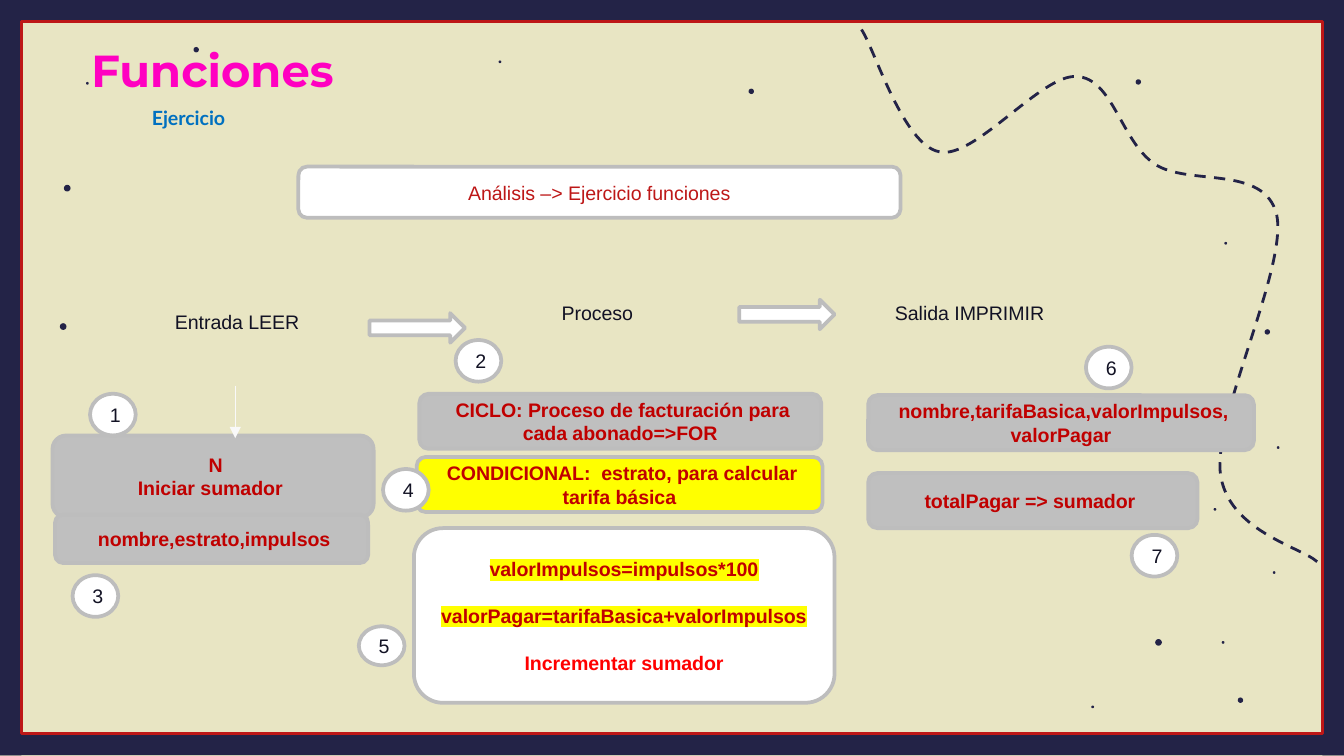
from dataclasses import dataclass

from lxml import etree
from pptx import Presentation
from pptx import util as u
from pptx.dml.color import RGBColor
from pptx.enum import dml, shapes, text
from pptx.oxml import ns


@dataclass(frozen=True)
class Theme:
    paper: str = "E8E5C3"
    navy: str = "232347"
    red: str = "BD1717"
    ink: str = "121224"
    grey: str = "BFBFBF"
    edge: str = "BDBDBD"
    white: str = "FFFFFF"
    yellow: str = "FFFF00"
    strong: str = "C00000"
    bright: str = "FF0000"
    pink: str = "FF00C1"
    blue: str = "0070C0"
    arrow: str = "F9F9F9"
    title_size: float = 24
    text_size: float = 10.5


theme = Theme()
kinds = shapes.MSO_SHAPE


def write(para, words, color, **changes):
    span = para.add_run()
    span.text = words
    values = {"name": "Arial", "size": u.Pt(theme.text_size), "bold": False} | changes
    for name, value in values.items():
        setattr(span.font, name, value)
    span.font.color.rgb = RGBColor.from_string(color)


def draw(kind, at, fill=None, line=None, weight=2, words=(), color=theme.ink, bold=False):
    shape = page.shapes.add_shape(kind, *map(u.Inches, at))
    shape.shadow.inherit = False
    for paint, value in ((shape.fill, fill), (shape.line.fill, line)):
        if value:
            paint.solid()
            paint.fore_color.rgb = RGBColor.from_string(value)
        else:
            paint.background()
    if line:
        shape.line.width = u.Pt(weight)
    for index, sentence in enumerate(words):
        frame = shape.text_frame
        para = frame.add_paragraph() if index else frame.paragraphs[0]
        para.alignment = text.PP_ALIGN.CENTER
        write(para, sentence, color, bold=bold)
    return shape


deck = Presentation()
deck.slide_width = u.Inches(10)
deck.slide_height = deck.slide_width * 9 // 16
page = deck.slides.add_slide(deck.slide_layouts[1])
page.background.fill.solid()
page.background.fill.fore_color.rgb = RGBColor.from_string(theme.paper)

headings = [
    (page.shapes.title, (0.58, 0.27, 5.61, 0.91), "Funciones", theme.pink,
     "Montserrat", theme.title_size, text.PP_ALIGN.LEFT),
    (page.placeholders[1], (1.03, 0.74, 4.27, 0.28), "Ejercicio", theme.blue,
     "Lato", theme.text_size, text.PP_ALIGN.JUSTIFY),
]
for box, at, words, color, font, size, alignment in headings:
    for name, value in zip(("left", "top", "width", "height"), at):
        setattr(box, name, u.Inches(value))
    box.text_frame.vertical_anchor = text.MSO_ANCHOR.TOP
    box.text_frame.auto_size = text.MSO_AUTO_SIZE.NONE
    para = box.text_frame.paragraphs[0]
    para.alignment, para.space_before = alignment, u.Pt(0)
    write(para, words, color, name=font, size=u.Pt(size), bold=True)
    properties = para._p.get_or_add_pPr()
    properties.set("marL", "0")
    properties.set("indent", "0")
    etree.SubElement(properties, ns.qn("a:buNone"))

band = 0.16
for at in [(0, 0, 10, band), (0, 5.46, 10, band),
           (0, 0, band, 5.62), (10 - band, 0, band, 5.62)]:
    draw(kinds.RECTANGLE, at, theme.navy)
draw(kinds.RECTANGLE, (band, band, 10 - 2 * band, 5.3), line=theme.red, weight=1.5)

trail_points = [
    (6.51, 0.37), (6.72, 1.08), (6.99, 1.13), (7.25, 1.19), (7.75, 0.55), (8.01, 0.57),
    (8.28, 0.58), (8.34, 1.05), (8.59, 1.22), (8.84, 1.39), (9.41, 1.22), (9.5, 1.6),
    (9.58, 1.99), (9.03, 3.09), (9.08, 3.52), (9.13, 3.95), (9.68, 4.07), (9.8, 4.18),
]
builder = page.shapes.build_freeform(u.Inches(6.41), u.Inches(0.22))
builder.add_line_segments([(u.Inches(x), u.Inches(y)) for x, y in trail_points], close=False)
trail = builder.convert_to_shape()
trail.shadow.inherit = False
trail.fill.background()
trail.line.color.rgb = RGBColor.from_string(theme.navy)
trail.line.width = u.Pt(1.5)
trail.line.dash_style = dml.MSO_LINE.DASH
segments = trail._element.xpath(".//a:lnTo")
for start in range(0, len(segments), 3):
    curve = etree.Element(ns.qn("a:cubicBezTo"))
    segments[start].addprevious(curve)
    for segment in segments[start:start + 3]:
        curve.append(segment[0])
        segment.getparent().remove(segment)

dots = {
    0.05: [(8.62, 4.78), (0.5, 1.4), (0.47, 2.43)],
    0.04: [(5.59, 0.68), (9.23, 5.21), (9.43, 2.47), (8.47, 0.61), (1.46, 0.37)],
    0.02: [(9.04, 3.79), (9.48, 4.26), (8.13, 5.26), (9.1, 4.78), (9.12, 1.81),
           (3.72, 0.46), (9.51, 3.33), (0.65, 0.62)],
}
for size, centres in dots.items():
    for x, y in centres:
        draw(kinds.OVAL, (x - size / 2, y - size / 2, size, size), theme.navy)

for left, top, words in [(0.78, 1.91, "Entrada LEER"), (3.46, 1.84, "Proceso"),
                         (6.23, 1.84, "Salida IMPRIMIR")]:
    draw(kinds.OVAL, (left, top, 1.97, 0.97), theme.paper, theme.paper, words=[words])

draw(kinds.ROUNDED_RECTANGLE, (2.22, 1.24, 4.48, 0.38), theme.white, theme.edge,
     words=["Análisis –> Ejercicio funciones"], color=theme.red)
for left, top in [(2.75, 2.33), (5.5, 2.23)]:
    draw(kinds.RIGHT_ARROW, (left, top, 0.71, 0.22), theme.white, theme.edge)

steps = [
    ((0.39, 3.24, 2.39, 0.61), theme.grey, [" N", "Iniciar sumador "]),
    ((0.41, 3.83, 2.33, 0.36), theme.grey, [" nombre,estrato,impulsos"]),
    ((3.12, 2.93, 2.99, 0.41), theme.grey,
     [" CICLO: Proceso de facturación para cada abonado=>FOR"]),
    ((3.1, 3.4, 3.02, 0.41), theme.yellow,
     [" CONDICIONAL:  estrato, para calcular tarifa básica"]),
    ((6.46, 2.94, 2.87, 0.41), theme.grey,
     [" nombre,tarifaBasica,valorImpulsos, valorPagar"]),
    ((6.46, 3.52, 2.45, 0.41), theme.grey, ["totalPagar => sumador "]),
]
for at, fill, words in steps:
    draw(kinds.ROUNDED_RECTANGLE, at, fill, theme.edge, words=words,
         color=theme.strong, bold=True)

formulas = draw(kinds.ROUNDED_RECTANGLE, (3.08, 3.93, 3.13, 1.3), theme.white, theme.edge,
                words=["valorImpulsos=impulsos*100", "valorPagar=tarifaBasica+valorImpulsos",
                       "Incrementar sumador"], color=theme.strong, bold=True)
*calculations, total = formulas.text_frame.paragraphs
for para in calculations:
    para.space_after = u.Pt(12.5)
    highlight = etree.Element(ns.qn("a:highlight"))
    etree.SubElement(highlight, ns.qn("a:srgbClr"), val=theme.yellow)
    para.runs[0]._r.rPr.find(ns.qn("a:solidFill")).addnext(highlight)
total.runs[0].font.color.rgb = RGBColor.from_string(theme.bright)

badges = [(0.67, 2.93), (3.39, 2.53), (0.54, 4.28), (2.85, 3.49),
          (2.67, 4.66), (8.08, 2.58), (8.42, 3.98)]
for number, (left, top) in enumerate(badges, 1):
    height = 0.29 if number == 5 else 0.31
    draw(kinds.OVAL, (left, top, 0.34, height), theme.white, theme.edge, words=[str(number)])

pointer = page.shapes.add_connector(
    shapes.MSO_CONNECTOR.STRAIGHT, *map(u.Inches, (1.75, 2.87, 1.75, 3.26)))
pointer.line.color.rgb = RGBColor.from_string(theme.arrow)
pointer.line.width = u.Pt(0.75)
etree.SubElement(pointer.line._get_or_add_ln(), ns.qn("a:tailEnd"), type="triangle")
etree.SubElement(pointer._element.spPr, ns.qn("a:effectLst"))

deck.save("out.pptx")
